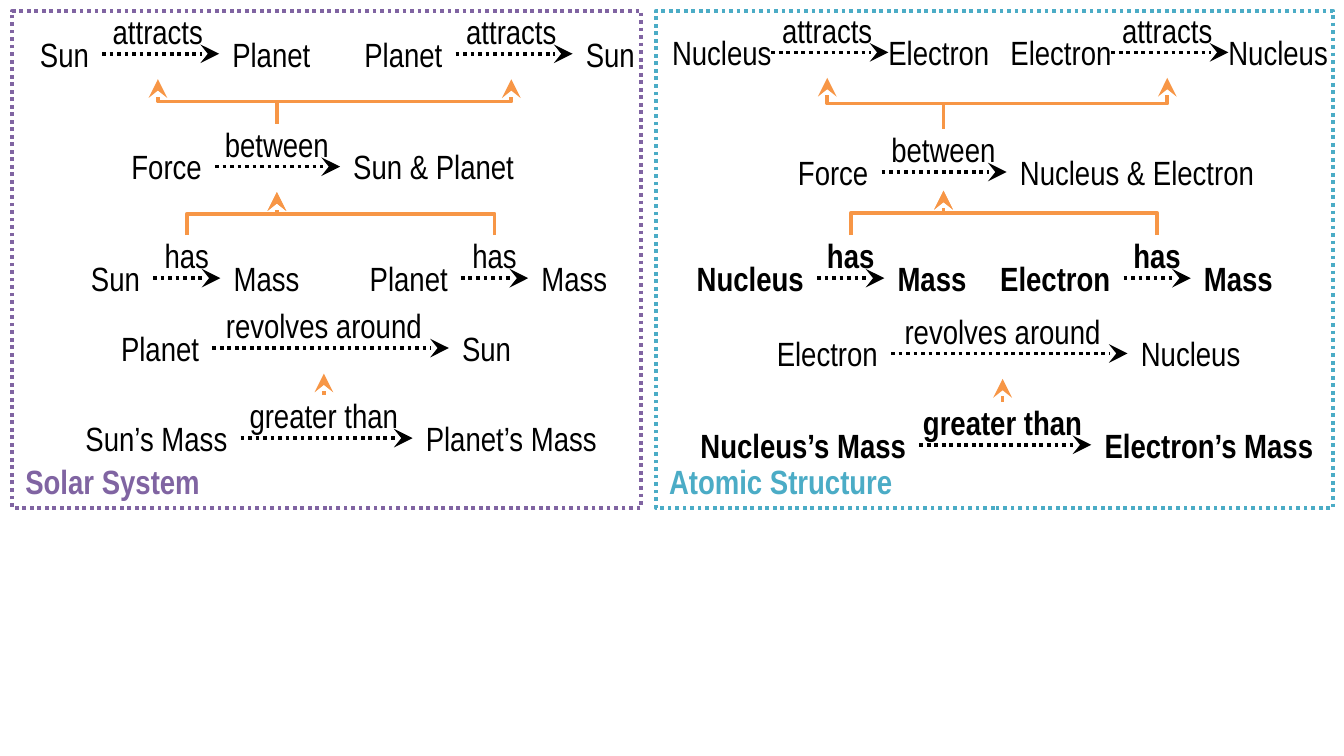
from dataclasses import dataclass

from lxml.etree import SubElement
from pptx import Presentation
from pptx.dml.color import RGBColor
from pptx.enum.dml import MSO_LINE
from pptx.enum.shapes import MSO_CONNECTOR, MSO_SHAPE
from pptx.enum.text import MSO_ANCHOR, PP_ALIGN
from pptx.oxml.ns import qn
from pptx.util import Inches, Pt

COLORS = {"ink": "000000", "cause": "F79646",
          "solar": "8064A2", "atomic": "4BACC6"}
FONT = "Arial Narrow"
TERM_HEIGHT = 0.4
LABEL_RISE = 0.32

# Verb: arrow length, label width, label offset from the arrow's start
VERBS = {
    "attracts": (0.87, 0.83, 0),
    "between": (0.93, 0.92, 0),
    "has": (0.5, 0.5, 0),
    "revolves around": (1.76, 2.12, -0.23),
    "greater than": (1.28, 1.26, -0.01),
}

# Cause and effect, as positions in a panel's list of relations
BRANCHES = [(3, 2), (4, 2), (2, 0), (2, 1)]
STRAIGHT_CAUSE = (6, 5)


@dataclass
class Relation:
    subject: str
    subject_width: float
    verb: str
    object: str
    object_width: float
    x: float  # start of the arrow, from the panel's left
    y: float  # height of the arrow, from the panel's top
    bold: bool = False
    gap: float = 0.1
    label_height: float = 0.51


SOLAR = [
    Relation("Sun", 0.67, "attracts", "Planet", 1.01, 0.67, 0.32),
    Relation("Planet", 0.85, "attracts", "Sun", 0.61, 3.3, 0.32),
    Relation("Force", 0.82, "between", "Sun & Planet", 1.56, 1.51, 1.16),
    Relation("Sun", 0.76, "has", "Mass", 0.84, 1.05, 1.99),
    Relation("Planet", 1.05, "has", "Mass", 0.84, 3.34, 1.99),
    Relation("Planet", 0.91, "revolves around", "Sun", 0.63, 1.49, 2.51),
    Relation("Sun’s Mass", 1.45, "greater than", "Planet’s Mass", 1.64, 1.7, 3.18),
]
ATOMIC = [
    Relation("Nucleus", 0.99, "attracts", "Electron", 1.12, 0.86, 0.31, gap=0),
    Relation("Electron", 1.13, "attracts", "Nucleus", 1.07, 3.39, 0.31, gap=0),
    Relation("Force", 0.93, "between", "Nucleus & Electron", 2.15, 1.68, 1.2,
             label_height=0.46),
    Relation("Nucleus", 1.2, "has", "Mass", 0.84, 1.2, 1.99, bold=True),
    Relation("Electron", 1.05, "has", "Mass", 0.84, 3.48, 1.99, bold=True),
    Relation("Electron", 1.12, "revolves around", "Nucleus", 1.11, 1.75, 2.55),
    Relation("Nucleus’s Mass", 1.92, "greater than", "Electron’s Mass", 1.72,
             1.96, 3.23, bold=True),
]


def write(shape, text, align=PP_ALIGN.LEFT, color="ink", bold=False,
          margins=(0.1, 0.05, 0.1, 0.05), anchor=MSO_ANCHOR.TOP):
    frame = shape.text_frame
    frame.word_wrap = True
    frame.vertical_anchor = anchor
    (frame.margin_left, frame.margin_top,
     frame.margin_right, frame.margin_bottom) = map(Inches, margins)
    paragraph = frame.paragraphs[0]
    paragraph.alignment = align
    run = paragraph.add_run()
    run.text = text
    run.font.name = FONT
    run.font.size = Pt(18)
    run.font.bold = bold
    run.font.color.rgb = RGBColor.from_string(COLORS[color])


def add_text(slide, box, text, **style):
    textbox = slide.shapes.add_textbox(*map(Inches, box))
    write(textbox, text, **style)
    return textbox


def style_line(line, color, dotted):
    line.color.rgb = RGBColor.from_string(COLORS[color])
    line.width = Pt(2)
    if dotted:
        line.dash_style = MSO_LINE.ROUND_DOT


def finish_arrow(arrow, color, dotted=False):
    style_line(arrow.line, color, dotted)
    properties = arrow._element.spPr
    SubElement(properties.find(qn("a:ln")), qn("a:tailEnd"),
               type="stealth", w="lg", len="lg")
    SubElement(properties, qn("a:effectLst"))


def join(slide, start, start_side, end, end_side, **style):
    arrow = slide.shapes.add_connector(MSO_CONNECTOR.STRAIGHT, 0, 0, 0, 0)
    arrow.begin_connect(start, start_side)
    arrow.end_connect(end, end_side)
    finish_arrow(arrow, **style)


def branch(slide, cause, effect):
    """Elbow rising from the top of one label to the bottom of another."""
    x1, y1 = cause.left + cause.width // 2, cause.top
    x2, y2 = effect.left + effect.width // 2, effect.top + effect.height
    center_x, center_y = (x1 + x2) // 2, (y1 + y2) // 2
    run, rise = (x2 - x1) // 2, (y1 - y2) // 2
    # Laid out sideways, then turned a quarter to the left
    elbow = slide.shapes.add_connector(
        MSO_CONNECTOR.ELBOW, center_x - rise, center_y - run,
        center_x + rise, center_y + run)
    elbow._element.spPr.find(qn("a:xfrm")).set("rot", "16200000")
    finish_arrow(elbow, "cause")


def add_relation(slide, left, top, relation):
    """Subject, dotted arrow and object; returns the label on the arrow."""
    length, label_width, shift = VERBS[relation.verb]
    x, y = left + relation.x, top + relation.y
    term_top = y - TERM_HEIGHT / 2
    gap, bold = relation.gap, relation.bold
    subject = add_text(
        slide, (x - relation.subject_width, term_top,
                relation.subject_width, TERM_HEIGHT),
        relation.subject, align=PP_ALIGN.RIGHT, bold=bold,
        margins=(0, 0.05, gap, 0.05))
    target = add_text(
        slide, (x + length, term_top, relation.object_width, TERM_HEIGHT),
        relation.object, bold=bold, margins=(gap, 0.05, 0, 0.05))
    join(slide, subject, 3, target, 1, color="ink", dotted=True)
    return add_text(
        slide, (x + shift, y - LABEL_RISE, label_width, relation.label_height),
        relation.verb, align=PP_ALIGN.CENTER, bold=bold, margins=(0, 0, 0, 0))


def add_panel(slide, box, name, color, relations):
    left, top = box[:2]
    # Relations, then the causes between them
    labels = [add_relation(slide, left, top, relation) for relation in relations]
    for cause, effect in BRANCHES:
        branch(slide, labels[cause], labels[effect])
    cause, effect = STRAIGHT_CAUSE
    join(slide, labels[cause], 0, labels[effect], 2, color="cause")

    # Dotted frame with the domain's name
    frame = slide.shapes.add_shape(MSO_SHAPE.RECTANGLE, *map(Inches, box))
    frame.shadow.inherit = False
    frame.fill.background()
    style_line(frame.line, color, dotted=True)
    write(frame, name, color=color, bold=True, anchor=MSO_ANCHOR.BOTTOM)


def main():
    presentation = Presentation()
    presentation.slide_width = Inches(10)
    presentation.slide_height = presentation.slide_width * 9 // 16
    slide = presentation.slides.add_slide(presentation.slide_layouts[6])
    add_panel(slide, (0.09, 0.08, 4.68, 3.7), "Solar System", "solar", SOLAR)
    add_panel(slide, (4.88, 0.08, 5.04, 3.7), "Atomic Structure", "atomic", ATOMIC)
    presentation.save("out.pptx")


if __name__ == "__main__":
    main()
